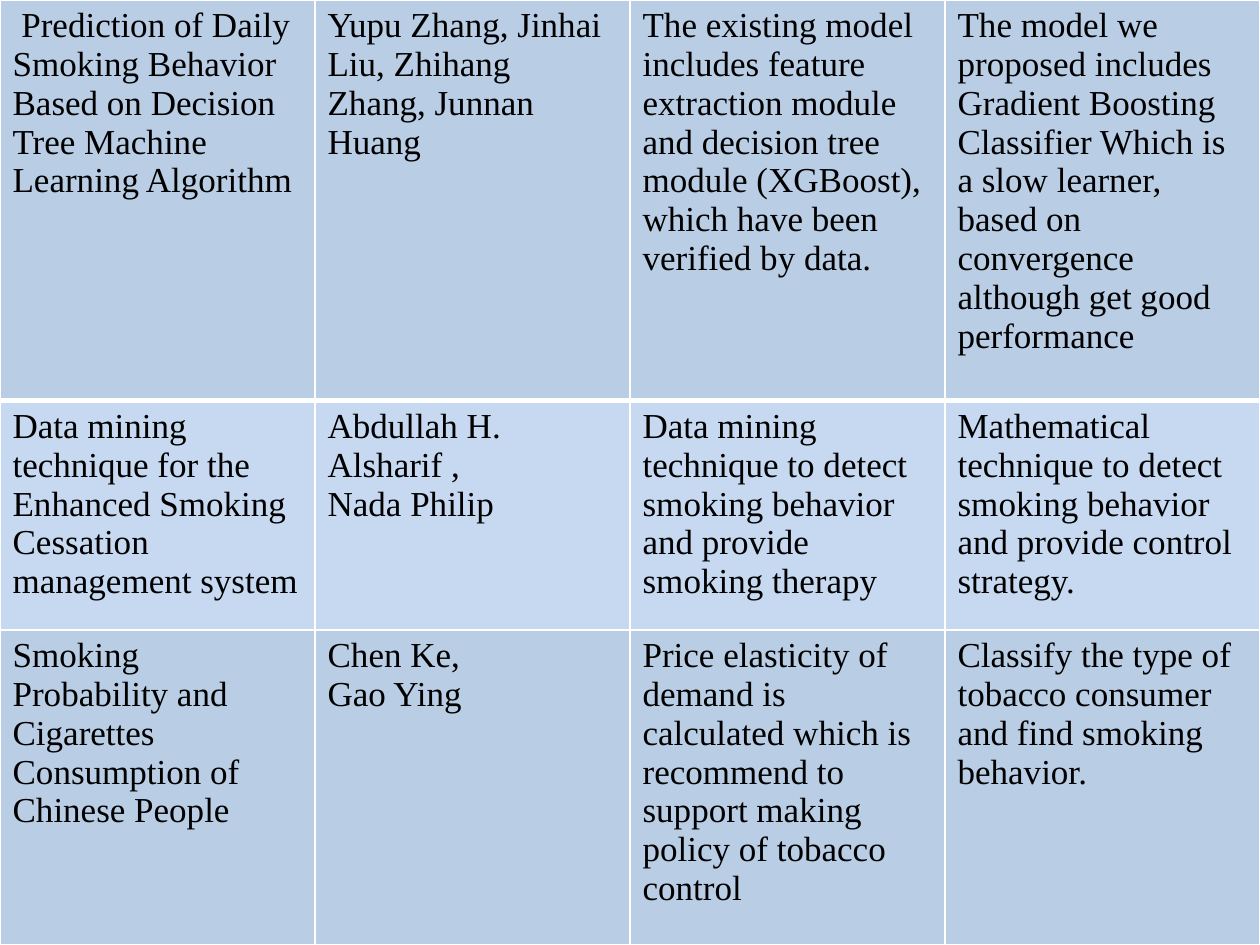
"""Build a literature comparison slide filled by one table of three studies."""
from dataclasses import dataclass

from lxml.etree import SubElement
from pptx import Presentation
from pptx.dml.color import RGBColor as Rgb
from pptx.oxml.ns import qn
from pptx.util import Pt

COLORS = {"odd": "B9CDE5", "even": "C6D9F1", "border": "FFFFFF", "text": "000000"}
FONT_NAME = "Times New Roman"
FONT_SIZE = Pt(20)
SLIDE_WIDTH, SLIDE_HEIGHT = Pt(720), Pt(540)
THIN, THICK = Pt(1), Pt(3)


@dataclass(frozen=True)
class Study:
    title: str
    authors: str
    existing: str
    proposed: str
    height: float
    fill: str
    top: int = THIN
    bottom: int = THIN
    indent: int = 0


STUDIES = [
    Study(
        "Prediction of Daily Smoking Behavior Based on Decision Tree Machine "
        "Learning Algorithm",
        "Yupu Zhang, Jinhai Liu, Zhihang Zhang, Junnan Huang",
        "The existing model includes feature extraction module and decision tree "
        "module (XGBoost), which have been verified by data.",
        "The model we proposed includes\nGradient Boosting Classifier Which is a "
        "slow learner, based on convergence although get good performance",
        229, "odd", bottom=THICK, indent=Pt(5),
    ),
    Study(
        "Data mining technique for the Enhanced Smoking Cessation management system",
        "Abdullah H. Alsharif ,\nNada Philip",
        "Data mining technique to detect smoking behavior and provide smoking therapy",
        "Mathematical technique to detect smoking behavior and provide control "
        "strategy.",
        131, "even", top=THICK,
    ),
    Study(
        "Smoking Probability and Cigarettes Consumption of Chinese People",
        "Chen Ke,\nGao Ying",
        "Price elasticity of demand is calculated which is recommend to support "
        "making policy of tobacco control",
        "Classify the type of tobacco consumer and find smoking behavior.",
        180, "odd",
    ),
]


def set_borders(cell, top: int, bottom: int) -> None:
    """Draw the four cell borders, ahead of the fill in the cell properties."""
    properties = cell._tc.get_or_add_tcPr()
    widths = {"a:lnL": THIN, "a:lnR": THIN, "a:lnT": top, "a:lnB": bottom}
    for tag, width in widths.items():
        line = SubElement(properties, qn(tag), w=str(width))
        solid = SubElement(line, qn("a:solidFill"))
        SubElement(solid, qn("a:srgbClr"), val=COLORS["border"])


def write_cell(cell, content: str, study: Study, indent: int = 0) -> None:
    """Fill one cell with its borders, colour and text."""
    set_borders(cell, study.top, study.bottom)
    cell.fill.solid()
    cell.fill.fore_color.rgb = Rgb.from_string(COLORS[study.fill])
    cell.text = content
    for paragraph in cell.text_frame.paragraphs:
        if indent:
            paragraph._p.get_or_add_pPr().set("indent", str(indent))
        paragraph.font.name = FONT_NAME
        paragraph.font.size = FONT_SIZE
        paragraph.font.color.rgb = Rgb.from_string(COLORS["text"])


def add_comparison(slide, studies: list[Study]) -> None:
    """Add the table with one row for each study."""
    comparison = slide.shapes.add_table(
        len(studies), 4, 0, 0, SLIDE_WIDTH, SLIDE_HEIGHT
    ).table
    comparison.first_row = False
    comparison.horz_banding = False
    for row, study in zip(comparison.rows, studies):
        row.height = Pt(study.height)
        contents = (study.title, study.authors, study.existing, study.proposed)
        for column, (cell, content) in enumerate(zip(row.cells, contents)):
            write_cell(cell, content, study, 0 if column else study.indent)


def main() -> None:
    """Create and save the slide."""
    deck = Presentation()
    deck.slide_width, deck.slide_height = SLIDE_WIDTH, SLIDE_HEIGHT
    add_comparison(deck.slides.add_slide(deck.slide_layouts[6]), STUDIES)
    deck.save("out.pptx")


if __name__ == "__main__":
    main()
